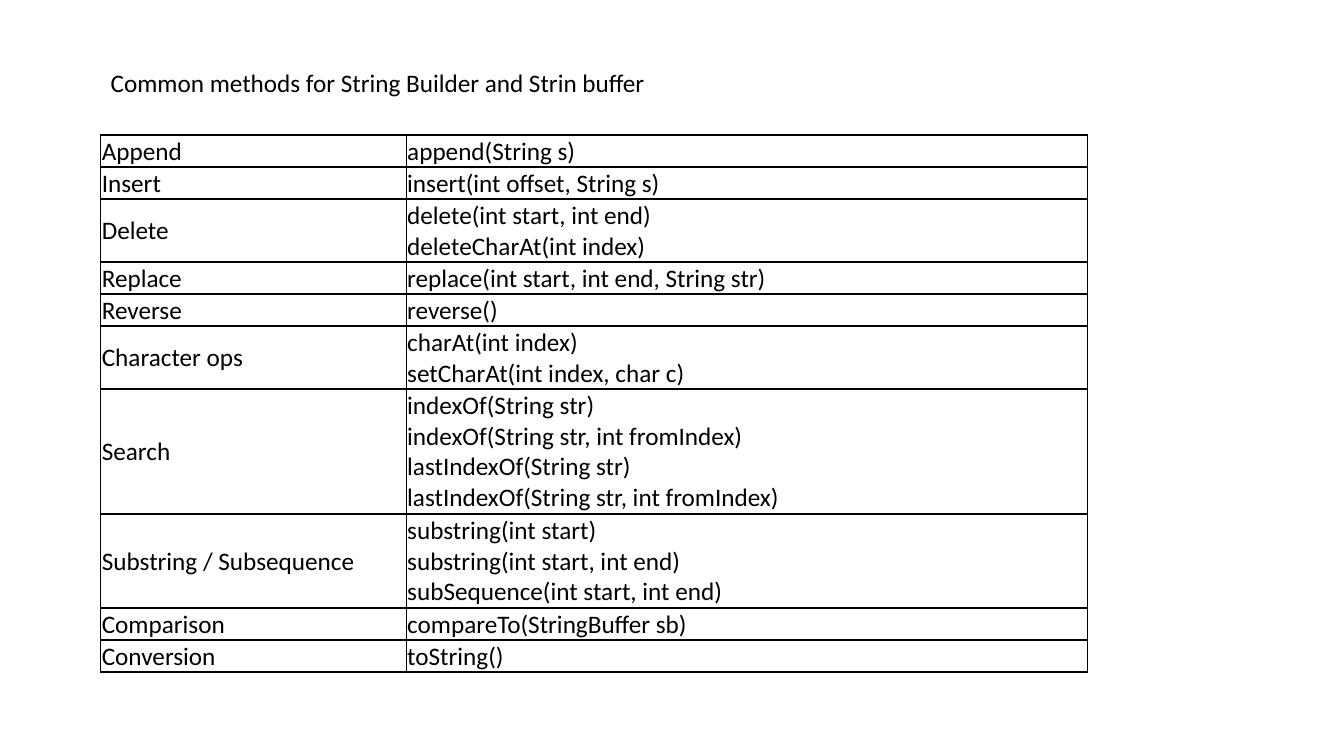
from dataclasses import dataclass
from typing import NamedTuple

from lxml import etree
from pptx import Presentation
from pptx import util as u
from pptx.dml.color import RGBColor
from pptx.enum import text
from pptx.oxml import ns

PX = 2286  # EMU in one px, 400 px to the inch


@dataclass(frozen=True)
class Theme:
    font: str = "Calibri"
    size: int = 18
    ink: str = "000000"
    border_points: int = 1


class MethodGroup(NamedTuple):
    name: str
    signatures: list[str]


THEME = Theme()
TITLE = "Common methods for String Builder and Strin buffer"
GROUPS = [
    MethodGroup("Append", ["append(String s)"]),
    MethodGroup("Insert", ["insert(int offset, String s)"]),
    MethodGroup("Delete", ["delete(int start, int end)", "deleteCharAt(int index)"]),
    MethodGroup("Replace", ["replace(int start, int end, String str)"]),
    MethodGroup("Reverse", ["reverse()"]),
    MethodGroup("Character ops", ["charAt(int index)", "setCharAt(int index, char c)"]),
    MethodGroup("Search", [
        "indexOf(String str)",
        "indexOf(String str, int fromIndex)",
        "lastIndexOf(String str)",
        "lastIndexOf(String str, int fromIndex)",
    ]),
    MethodGroup("Substring / Subsequence", [
        "substring(int start)",
        "substring(int start, int end)",
        "subSequence(int start, int end)",
    ]),
    MethodGroup("Comparison", ["compareTo(StringBuffer sb)"]),
    MethodGroup("Conversion", ["toString()"]),
]
COLUMN_WIDTHS = (1212, 2704)
LINE_HEIGHT = 123
CELL_MARGIN = 4


def px(length: int) -> u.Emu:
    return u.Emu(length * PX)


def write_lines(frame, lines: list[str]) -> None:
    """Put the lines in one paragraph, parted by line breaks."""
    para = frame.paragraphs[0]
    for index, line in enumerate(lines):
        if index:
            para.add_line_break()
        span = para.add_run()
        span.text = line
        span.font.name = THEME.font
        span.font.size = u.Pt(THEME.size)
        span.font.color.rgb = RGBColor.from_string(THEME.ink)


def add_borders(cell) -> None:
    properties = cell._tc.get_or_add_tcPr()
    for side in ("a:lnL", "a:lnR", "a:lnT", "a:lnB"):
        line = etree.SubElement(properties, ns.qn(side), w=str(u.Pt(THEME.border_points)))
        fill = etree.SubElement(line, ns.qn("a:solidFill"))
        etree.SubElement(fill, ns.qn("a:srgbClr"), val=THEME.ink)


def fill_cell(cell, lines: list[str]) -> None:
    cell.margin_left = cell.margin_right = cell.margin_top = px(CELL_MARGIN)
    cell.margin_bottom = 0
    cell.vertical_anchor = text.MSO_ANCHOR.MIDDLE
    add_borders(cell)
    cell.fill.background()
    write_lines(cell.text_frame, lines)


def add_title(page) -> None:
    box = page.shapes.add_textbox(px(400), px(248), px(2252), px(160))
    box.text_frame.word_wrap = False
    box.text_frame.auto_size = text.MSO_AUTO_SIZE.SHAPE_TO_FIT_TEXT
    write_lines(box.text_frame, [TITLE])


def add_method_table(page) -> None:
    heights = [LINE_HEIGHT * len(group.signatures) + CELL_MARGIN for group in GROUPS]
    table = page.shapes.add_table(
        len(GROUPS), len(COLUMN_WIDTHS),
        px(400), px(536), px(sum(COLUMN_WIDTHS)), px(sum(heights)),
    ).table
    table.first_row = table.horz_banding = False
    for column, width in zip(table.columns, COLUMN_WIDTHS):
        column.width = px(width)
    for row, height, group in zip(table.rows, heights, GROUPS):
        row.height = px(height)
        fill_cell(row.cells[0], [group.name])
        fill_cell(row.cells[1], group.signatures)


def main() -> None:
    deck = Presentation()
    deck.slide_width, deck.slide_height = px(5333), px(3000)
    page = deck.slides.add_slide(deck.slide_layouts[6])
    add_title(page)
    add_method_table(page)
    deck.save("out.pptx")


if __name__ == "__main__":
    main()
